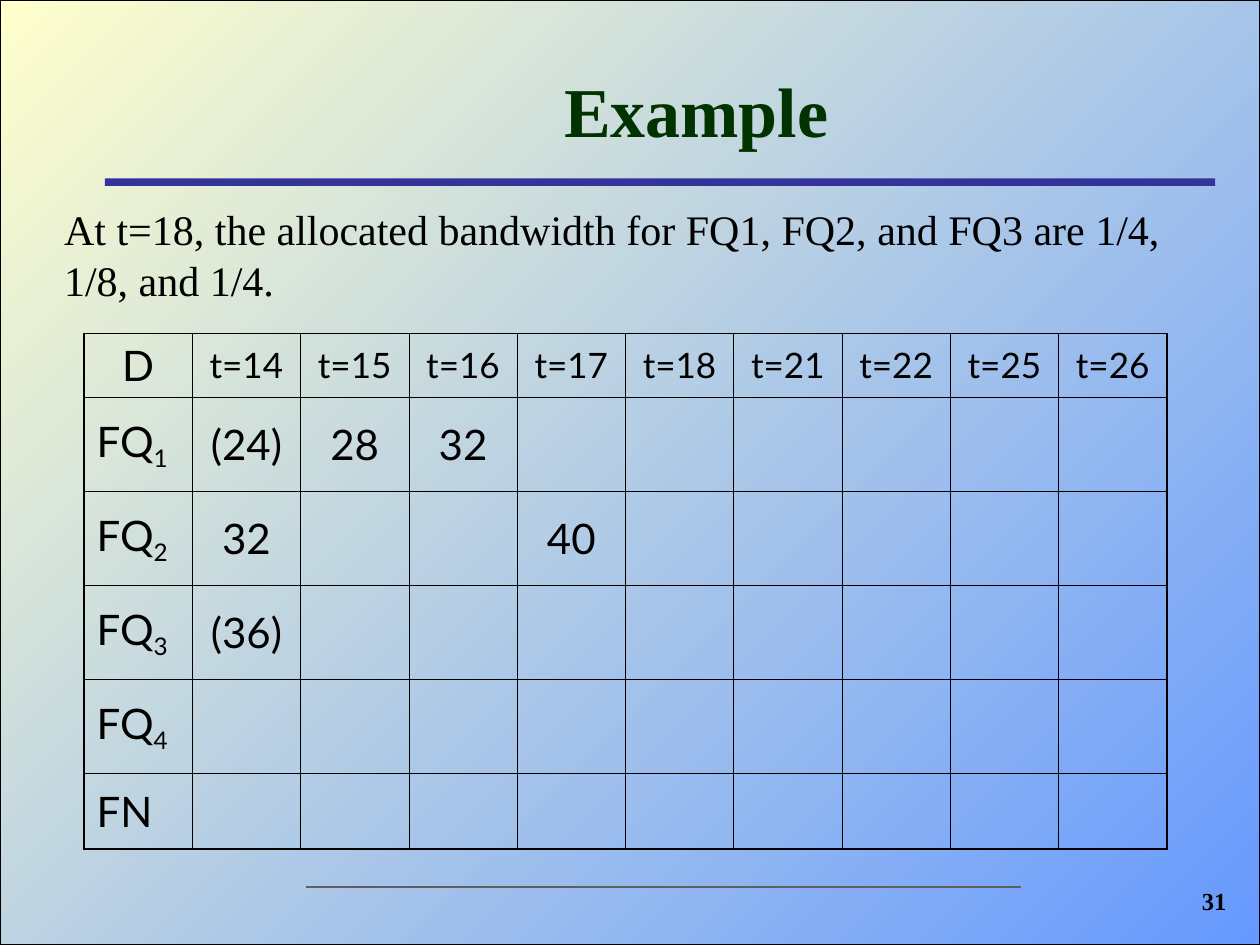
from lxml.etree import SubElement
from pptx import Presentation
from pptx.dml.color import RGBColor
from pptx.enum.shapes import MSO_CONNECTOR, MSO_SHAPE
from pptx.enum.text import MSO_ANCHOR as Anchor, PP_ALIGN as Align
from pptx.oxml.ns import qn
from pptx.util import Pt

TITLE = "Example"
BODY = ("At t=18, the allocated bandwidth for FQ1, FQ2, and FQ3 are "
        "1/4, 1/8, and 1/4.")
PAGE = "31"
TIMES = [14, 15, 16, 17, 18, 21, 22, 25, 26]
# "_" marks the start of a subscript; values are keyed by time.
QUEUES = [
    ("FQ_1", {14: "(24)", 15: "28", 16: "32"}),
    ("FQ_2", {14: "32", 17: "40"}),
    ("FQ_3", {14: "(36)"}),
    ("FQ_4", {}),
    ("FN", {}),
]

THEME = dict(
    serif="Times New Roman", sans="Lato",
    ink="000000", title="003300", rule="333399", footer="5F5F5F",
    light="FFFFCC", blue="6699FF",
    title_size=40, text_size=24, time_size=20, page_size=14,
)
WIDTH, HEIGHT = 720, 540
TABLE_LEFT, TABLE_TOP = 48, 190.6
COL_WIDTH = 61.9
ROW_HEIGHTS = [36.4, 53.8, 53.8, 53.8, 53.8, 43.2]
INNER_LINE, OUTER_LINE = 0.45, 1.08


def rgb(name):
    return RGBColor.from_string(THEME[name])


def write(tf, text, size="text_size", font="serif", color="ink", bold=False,
          align=Align.LEFT, anchor=Anchor.TOP):
    tf.word_wrap = True
    tf.vertical_anchor = anchor
    p = tf.paragraphs[0]
    p.alignment = align
    base, _, sub = text.partition("_")
    for part in filter(None, (base, sub)):
        r = p.add_run()
        r.text = part
        r.font.size = Pt(THEME[size])
        r.font.name = THEME[font]
        r.font.bold = bold
        r.font.color.rgb = rgb(color)
    if sub:
        r.font._element.set("baseline", "-25000")


def place(sp, left, top, width, height):
    sp.left, sp.top, sp.width, sp.height = map(Pt, (left, top, width, height))


def add_text(slide, box, text, **style):
    sp = slide.shapes.add_textbox(*map(Pt, box))
    write(sp.text_frame, text, **style)


def add_rect(slide, *box):
    sp = slide.shapes.add_shape(MSO_SHAPE.RECTANGLE, *map(Pt, box))
    sp.shadow.inherit = False
    return sp


def add_backdrop(slide):
    slide.background.fill.solid()
    slide.background.fill.fore_color.rgb = rgb("light")
    sp = add_rect(slide, 0, 0, WIDTH, HEIGHT)
    sp.fill.gradient()
    sp.fill.gradient_angle = 135
    for stop, name in zip(sp.fill.gradient_stops, ("blue", "light")):
        stop.color.rgb = rgb(name)
    sp.line.color.rgb = rgb("ink")
    sp.line.width = Pt(0.75)
    slide.shapes._spTree.insert(2, sp._element)  # behind the title


def add_rules(slide):
    sp = add_rect(slide, 60, 102, 634.4, 4.3)
    sp.fill.solid()
    sp.fill.fore_color.rgb = rgb("rule")
    sp.line.fill.background()
    line = slide.shapes.add_connector(
        MSO_CONNECTOR.STRAIGHT, Pt(175), Pt(506.9), Pt(583.2), Pt(506.9))
    line.line.color.rgb = rgb("footer")
    line.line.width = Pt(1.5)
    SubElement(line._element.spPr, qn("a:effectLst"))


def set_borders(cell, outer_sides):
    tc_pr = cell._tc.get_or_add_tcPr()
    for side in "LRTB":
        width = OUTER_LINE if side in outer_sides else INNER_LINE
        ln = SubElement(tc_pr, qn(f"a:ln{side}"), w=str(int(Pt(width))))
        fill = SubElement(ln, qn("a:solidFill"))
        SubElement(fill, qn("a:srgbClr"), val=THEME["ink"])


def add_schedule(slide):
    grid = [["D"] + [f"t={t}" for t in TIMES]]
    grid += [[name] + [values.get(t, "") for t in TIMES]
             for name, values in QUEUES]
    n_rows, n_cols = len(grid), len(grid[0])
    table = slide.shapes.add_table(
        n_rows, n_cols, Pt(TABLE_LEFT), Pt(TABLE_TOP),
        Pt(COL_WIDTH * n_cols), Pt(sum(ROW_HEIGHTS))).table
    table.first_row = table.horz_banding = False
    for col in table.columns:
        col.width = Pt(COL_WIDTH)
    for row, height in zip(table.rows, ROW_HEIGHTS):
        row.height = Pt(height)
    for i, texts in enumerate(grid):
        for j, text in enumerate(texts):
            cell = table.cell(i, j)
            edges = {"L": j == 0, "R": j == n_cols - 1,
                     "T": i == 0, "B": i == n_rows - 1}
            set_borders(cell, [s for s, outer in edges.items() if outer])
            cell.fill.background()
            cell.vertical_anchor = Anchor.MIDDLE
            if text:
                write(cell.text_frame, text, font="sans",
                      size="time_size" if i == 0 and j else "text_size",
                      align=Align.LEFT if i and j == 0 else Align.CENTER)


def main():
    prs = Presentation()
    prs.slide_width, prs.slide_height = Pt(WIDTH), Pt(HEIGHT)
    slide = prs.slides.add_slide(prs.slide_layouts[5])
    add_backdrop(slide)
    add_rules(slide)
    title = slide.shapes.title
    place(title, 99.4, 23.8, 596.9, 77.8)
    write(title.text_frame, TITLE, size="title_size", color="title",
          bold=True, align=Align.CENTER, anchor=Anchor.MIDDLE)
    add_schedule(slide)
    add_text(slide, (29.5, 113, 670.3, 64.8), BODY)
    add_text(slide, (630, 502.6, 77.8, 36), PAGE, size="page_size",
             bold=True, align=Align.RIGHT)
    prs.save("out.pptx")


if __name__ == "__main__":
    main()
